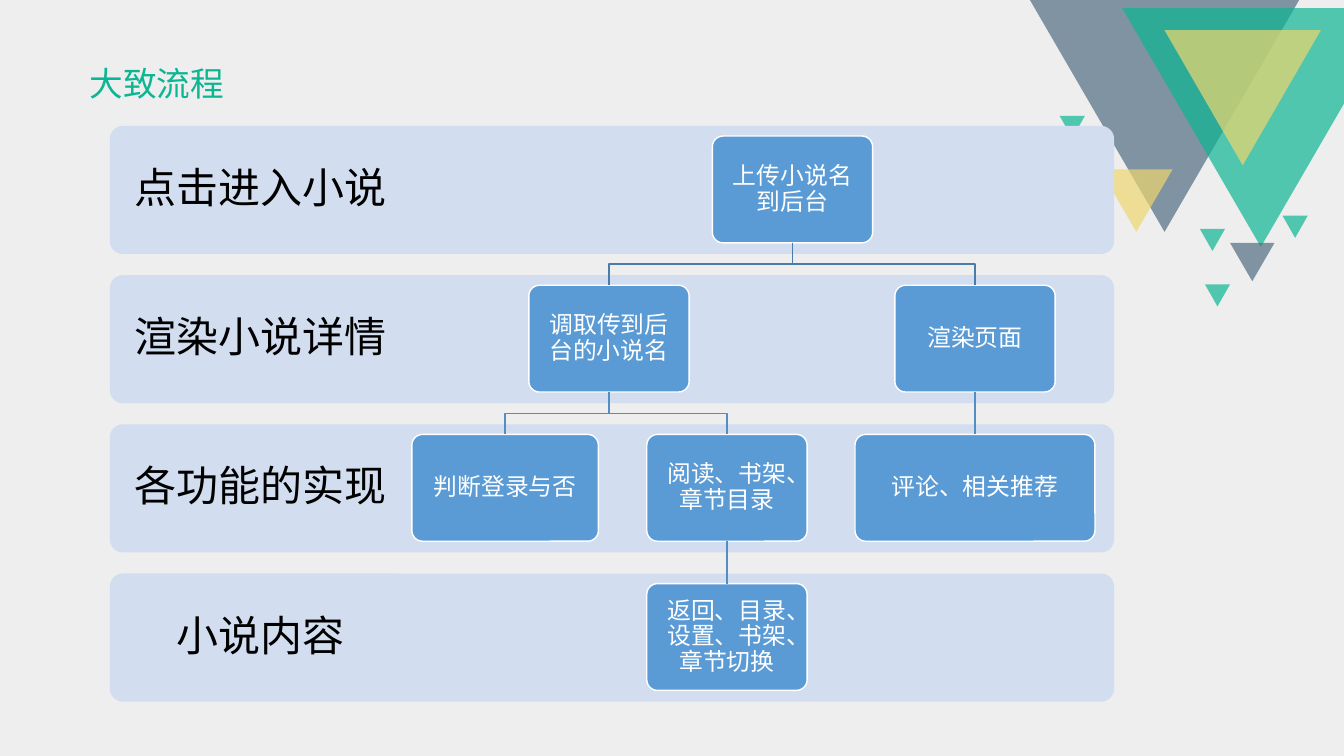
from lxml import etree
from pptx import Presentation
from pptx.dml.color import RGBColor
from pptx.enum.shapes import MSO_CONNECTOR as Link, MSO_SHAPE as Preset
from pptx.enum.text import MSO_ANCHOR as Anchor, MSO_AUTO_SIZE as AutoSize, PP_ALIGN as Align
from pptx.oxml.ns import qn
from pptx.util import Inches, Pt

SLATE, GREEN, YELLOW = "516D82", "0CB692", "EED66F"
BAND_BLUE, CARD_BLUE, WHITE, BLACK = "D2DEEF", "5B9BD5", "FFFFFF", "000000"
TOP_LINK, LOWER_LINK = "497CAB", "538DC1"

BAND_LEFT, BAND_TOP, BAND_WIDTH, BAND_HEIGHT = 1.09, 1.25, 9.96, 1.27
BAND_STEP, LABEL_WIDTH = 1.48, 2.99
CARD_OFFSET, CARD_HEIGHT = 0.1, 1.06


def color(hex_value):
    return RGBColor.from_string(hex_value)


class FlowSlide:
    LABEL = {"size": Pt(30), "name": "Calibri"}
    CARD = {"size": Pt(17), "name": "Calibri"}
    TITLE = {"size": Pt(24), "name": "League Spartan"}

    def __init__(self, presentation, background):
        self.slide = presentation.slides.add_slide(presentation.slide_layouts[5])
        self.shapes = self.slide.shapes
        fill = self.slide.background.fill
        fill.solid()
        fill.fore_color.rgb = color(background)

    def set_text(self, holder, text, style, ink, inset, align=Align.CENTER,
                 anchor=Anchor.MIDDLE, spacing=0.9):
        frame = holder.text_frame
        frame.text = text
        settings = {"word_wrap": True, "auto_size": AutoSize.NONE, "vertical_anchor": anchor}
        for side, margin in zip(("left", "right", "top", "bottom"), inset):
            settings["margin_" + side] = Inches(margin)
        for key, value in settings.items():
            setattr(frame, key, value)
        paragraph = frame.paragraphs[0]
        paragraph.alignment, paragraph.line_spacing = align, spacing
        font = paragraph.runs[0].font
        for key, value in style.items():
            setattr(font, key, value)
        font.color.rgb = color(ink)

    def title(self, text, box):
        holder = self.shapes.title
        for key, value in zip(("left", "top", "width", "height"), box):
            setattr(holder, key, Inches(value))
        self.set_text(holder, text, self.TITLE, GREEN, (0.1, 0.1, 0.05, 0.05),
                      Align.LEFT, Anchor.TOP, 1.0)

    def block(self, preset, box, fill):
        shape = self.shapes.add_shape(preset, *map(Inches, box))
        shape.shadow.inherit = False
        shape.fill.solid()
        shape.fill.fore_color.rgb = color(fill)
        shape.line.fill.background()
        return shape

    def triangle(self, left, top, width, height, fill):
        shape = self.block(Preset.ISOSCELES_TRIANGLE, (left, top, width, height), fill)
        shape.rotation = 180
        tint = shape._element.spPr.find(qn("a:solidFill"))[0]
        etree.SubElement(tint, qn("a:alpha")).set("val", "70000")

    def band(self, row, text):
        top = BAND_TOP + row * BAND_STEP
        strip = self.block(Preset.ROUNDED_RECTANGLE,
                           (BAND_LEFT, top, BAND_WIDTH, BAND_HEIGHT), BAND_BLUE)
        strip.adjustments[0] = 0.1
        label = self.shapes.add_textbox(
            *map(Inches, (BAND_LEFT, top, LABEL_WIDTH, BAND_HEIGHT)))
        self.set_text(label, text, self.LABEL, BLACK, (0.23,) * 4)

    def card(self, row, center, width, text):
        top = BAND_TOP + row * BAND_STEP + CARD_OFFSET
        card = self.block(Preset.ROUNDED_RECTANGLE,
                          (center - width / 2, top, width, CARD_HEIGHT), CARD_BLUE)
        card.adjustments[0] = 0.1
        self.outline(card, WHITE)
        self.set_text(card, text, self.CARD, WHITE, (0.1,) * 4)
        return card

    def outline(self, shape, ink):
        shape.line.color.rgb = color(ink)
        shape.line.width = Pt(1)

    def link(self, parent, child, ink):
        start_x, end_x = (card.left + card.width // 2 for card in (parent, child))
        start_y, end_y = parent.top + parent.height, child.top
        if abs(start_x - end_x) < Inches(0.01):
            line = self.shapes.add_connector(Link.STRAIGHT, start_x, start_y, end_x, end_y)
            line.begin_connect(parent, 2)
            line.end_connect(child, 0)
            self.outline(line, ink)
            etree.SubElement(line._element.spPr, qn("a:effectLst"))
            return
        middle = (start_y + end_y) // 2
        builder = self.shapes.build_freeform(start_x, start_y)
        builder.add_line_segments(
            [(start_x, middle), (end_x, middle), (end_x, end_y)], close=False)
        elbow = builder.convert_to_shape()
        elbow.shadow.inherit = False
        elbow.fill.background()
        self.outline(elbow, ink)


def main():
    presentation = Presentation()
    presentation.slide_width, presentation.slide_height = Inches(13.33), Inches(7.5)
    flow = FlowSlide(presentation, "EEEEEE")

    # Corner decoration
    for triangle in (
        (10, -0.37, 3.1, 2.67, SLATE),
        (11.13, 0.08, 2.75, 2.37, GREEN),
        (11.55, 0.3, 1.55, 1.34, YELLOW),
        (10.91, 1.68, 0.72, 0.62, YELLOW),
        (12.2, 2.41, 0.44, 0.38, SLATE),
    ):
        flow.triangle(*triangle)
    for left, top in ((12.72, 2.14), (11.95, 2.82), (11.9, 2.27), (10.51, 1.15)):
        flow.triangle(left, top, 0.25, 0.22, GREEN)

    # Title
    flow.title("大致流程", (0.79, 0.57, 1.9, 0.5))

    # Stage bands
    for row, stage in enumerate(("点击进入小说", "渲染小说详情", "各功能的实现", "小说内容")):
        flow.band(row, stage)

    # Step cards
    upload = flow.card(0, 7.86, 1.59, "上传小说名到后台")
    fetch = flow.card(1, 6.04, 1.59, "调取传到后台的小说名")
    render = flow.card(1, 9.67, 1.59, "渲染页面")
    login = flow.card(2, 5.01, 1.85, "判断登录与否")
    reading = flow.card(2, 7.21, 1.59, "阅读、书架、章节目录")
    comments = flow.card(2, 9.67, 2.38, "评论、相关推荐")
    chapter = flow.card(3, 7.21, 1.59, "返回、目录、设置、书架、章节切换")

    # Links between steps
    for parent, child, ink in (
        (upload, fetch, TOP_LINK), (upload, render, TOP_LINK),
        (fetch, login, LOWER_LINK), (fetch, reading, LOWER_LINK),
        (render, comments, LOWER_LINK), (reading, chapter, LOWER_LINK),
    ):
        flow.link(parent, child, ink)

    presentation.save("out.pptx")


if __name__ == "__main__":
    main()
